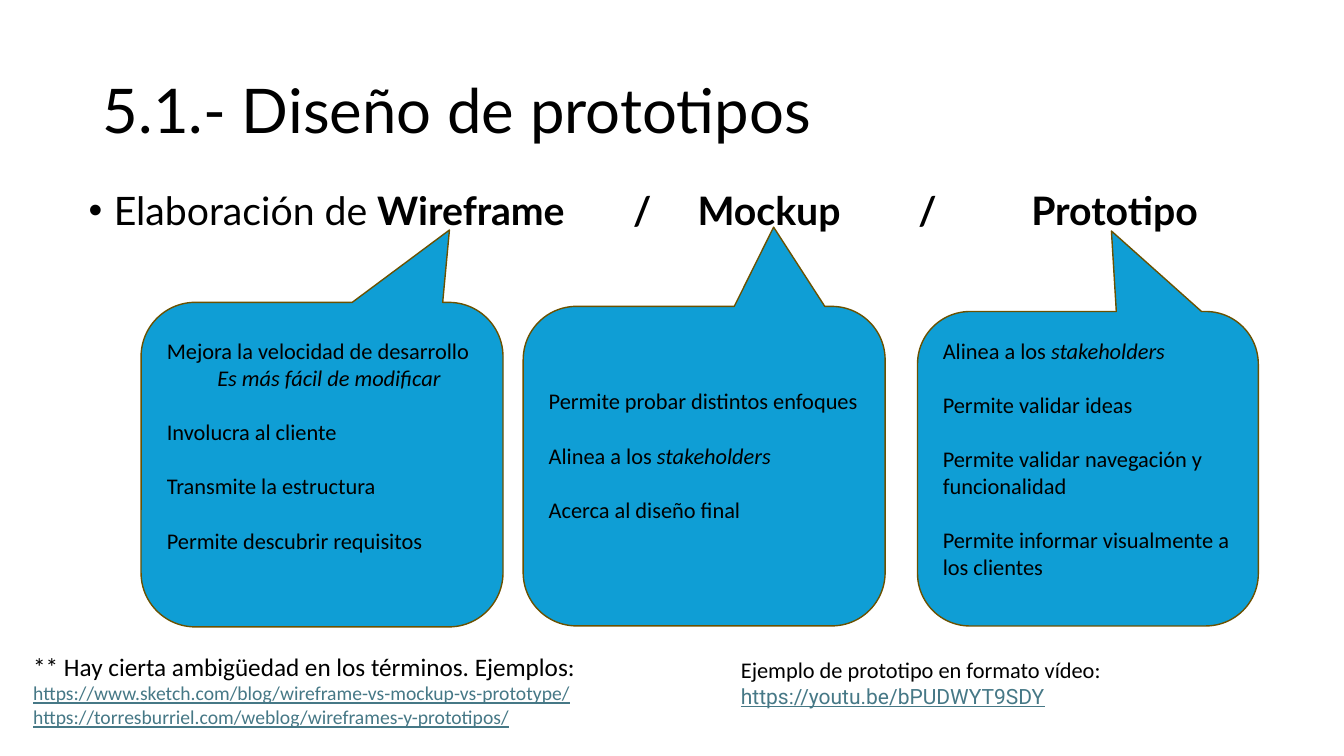
from lxml.etree import SubElement
from pptx import Presentation
from pptx.dml.color import RGBColor
from pptx.enum.shapes import MSO_SHAPE
from pptx.enum.text import MSO_ANCHOR, PP_ALIGN
from pptx.oxml.ns import qn
from pptx.util import Inches, Pt

BLACK = RGBColor(0x00, 0x00, 0x00)
BLUE = RGBColor(0x0F, 0x9E, 0xD5)
BROWN = RGBColor(0x6B, 0x51, 0x00)
TEAL = RGBColor(0x46, 0x78, 0x86)

WIDE, HIGH = Inches(13.33), Inches(7.5)
COL, ROW = WIDE / 100, HIGH / 100

BODY = {"name": "Calibri", "size": Pt(16)}
SLANT = BODY | {"italic": True}
HEAD = {"name": "Lato", "size": Pt(28)}
LINK = {"name": "Calibri", "size": Pt(14), "underline": True}
GAP = Pt(19.5)

CALLS = [
    ((10.5, 40, 26.93, 42.93), (0.352, -0.723), 0.19, [
        ([("Mejora la velocidad de desarrollo", BODY)], 0, 0),
        ([("Es más fácil de modificar", SLANT)], 0, 1),
        ([("Involucra al cliente", BODY)], GAP, 0),
        ([("Transmite la estructura", BODY)], GAP, 0),
        ([("Permite descubrir requisitos", BODY)], GAP, 0)]),
    ((38.93, 40.53, 26.93, 42.27), (0.192, -0.748), 0.65, [
        ([("Permite probar distintos enfoques", BODY)], 0, 0),
        ([("Alinea a los ", BODY), ("stakeholders", SLANT)], GAP, 0),
        ([("Acerca al diseño final", BODY)], GAP, 0)]),
    ((68.27, 41.2, 25.36, 41.6), (0.069, -0.756), 0.1, [
        ([("Alinea a los ", BODY), ("stakeholders", SLANT)], 0, 0),
        ([("Permite validar ideas", BODY)], GAP, 0),
        ([("Permite validar navegación y funcionalidad", BODY)], GAP, 0),
        ([("Permite informar visualmente a los clientes", BODY)], GAP, 0)]),
]

NOTES = [
    ((1.73, 85.47, 43.29, 14.5), 0.05, [
        ("** Hay cierta ambigüedad en los términos. Ejemplos:", BODY | {"size": Pt(18)}, BLACK),
        ("https://www.sketch.com/blog/wireframe-vs-mockup-vs-prototype/", LINK, TEAL),
        ("https://torresburriel.com/weblog/wireframes-y-prototipos/", LINK, TEAL)]),
    ((54.39, 85.47, 36.16, 9.6), 0.1, [
        ("Ejemplo de prototipo en formato vídeo:", BODY, BLACK),
        ("https://youtu.be/bPUDWYT9SDY", LINK | {"name": "Roboto", "size": Pt(15)}, TEAL)]),
]


def place(box):
    """Turn grid columns and rows into slide lengths."""
    x, y, w, h = box
    return [round(n) for n in (x * COL, y * ROW, w * COL, h * ROW)]


def set_all(item, form):
    """Set each attribute named in the format."""
    for key, val in form.items():
        setattr(item, key, val)


def add_run(para, text, form, color=BLACK):
    """Add one formatted run to a paragraph."""
    run = para.add_run()
    run.text = text
    set_all(run.font, form)
    run.font.color.rgb = color


def set_frame(frame, top=0.05):
    """Wrap a text frame and anchor it at its top inset."""
    set_all(frame, {"word_wrap": True, "margin_top": Inches(top),
                    "vertical_anchor": MSO_ANCHOR.TOP})


def add_para(frame, first):
    """Give the first paragraph or a new one."""
    return frame.paragraphs[0] if first else frame.add_paragraph()


def add_title(slide, box):
    """Fill the title placeholder."""
    title = slide.shapes.title
    set_all(title, dict(zip(("left", "top", "width", "height"), place(box))))
    frame = title.text_frame
    set_all(frame, {"word_wrap": True, "vertical_anchor": MSO_ANCHOR.MIDDLE})
    para = frame.paragraphs[0]
    set_all(para, {"alignment": PP_ALIGN.LEFT, "line_spacing": 0.9})
    add_run(para, "5.1.- Diseño de prototipos", HEAD | {"size": Pt(44)})


def add_head(slide, box):
    """Add the bulleted line that names the three stages."""
    frame = slide.shapes.add_textbox(*place(box)).text_frame
    set_frame(frame)
    para = frame.paragraphs[0]
    para.line_spacing = 0.9
    props = para._p.get_or_add_pPr()
    props.set("marL", str(Inches(0.25)))
    props.set("indent", str(-Inches(0.25)))
    SubElement(props, qn("a:buFont"), typeface="Arial")
    SubElement(props, qn("a:buChar"), char="•")
    tabs = SubElement(props, qn("a:tabLst"))
    for stop in (5.4, 6.04, 8.23, 9.35):
        SubElement(tabs, qn("a:tab"), pos=str(Inches(stop)), algn="l")
    add_run(para, "Elaboración de ", HEAD)
    add_run(para, "Wireframe\t/\tMockup\t/\tPrototipo", HEAD | {"bold": True})


def add_call(slide, box, tip, top, lines):
    """Add one callout whose tip points at its stage."""
    shape = slide.shapes.add_shape(MSO_SHAPE.ROUNDED_RECTANGULAR_CALLOUT, *place(box))
    shape.shadow.inherit = False
    for i, val in enumerate((*tip, 0.167)):
        shape.adjustments[i] = val
    shape.fill.solid()
    shape.fill.fore_color.rgb = BLUE
    shape.line.color.rgb = BROWN
    shape.line.width = Pt(1)
    frame = shape.text_frame
    set_frame(frame, top)
    for i, (runs, gap, level) in enumerate(lines):
        para = add_para(frame, i == 0)
        set_all(para, {"alignment": PP_ALIGN.LEFT, "space_before": gap, "level": level})
        para._p.get_or_add_pPr().set("marL", str(Inches(0.5 * level)))
        for text, form in runs:
            add_run(para, text, form)


def add_note(slide, box, top, lines):
    """Add a footnote with its web addresses."""
    frame = slide.shapes.add_textbox(*place(box)).text_frame
    set_frame(frame, top)
    for i, (text, form, color) in enumerate(lines):
        add_run(add_para(frame, i == 0), text, form, color)


def main():
    """Build and save the slide."""
    deck = Presentation()
    set_all(deck, {"slide_width": WIDE, "slide_height": HIGH})
    slide = deck.slides.add_slide(deck.slide_layouts[5])
    add_title(slide, (6.9, 5.33, 86.25, 19.33))
    add_head(slide, (5.85, 24.67, 86.25, 63.47))
    for call in CALLS:
        add_call(slide, *call)
    for note in NOTES:
        add_note(slide, *note)
    deck.save("out.pptx")


if __name__ == "__main__":
    main()
